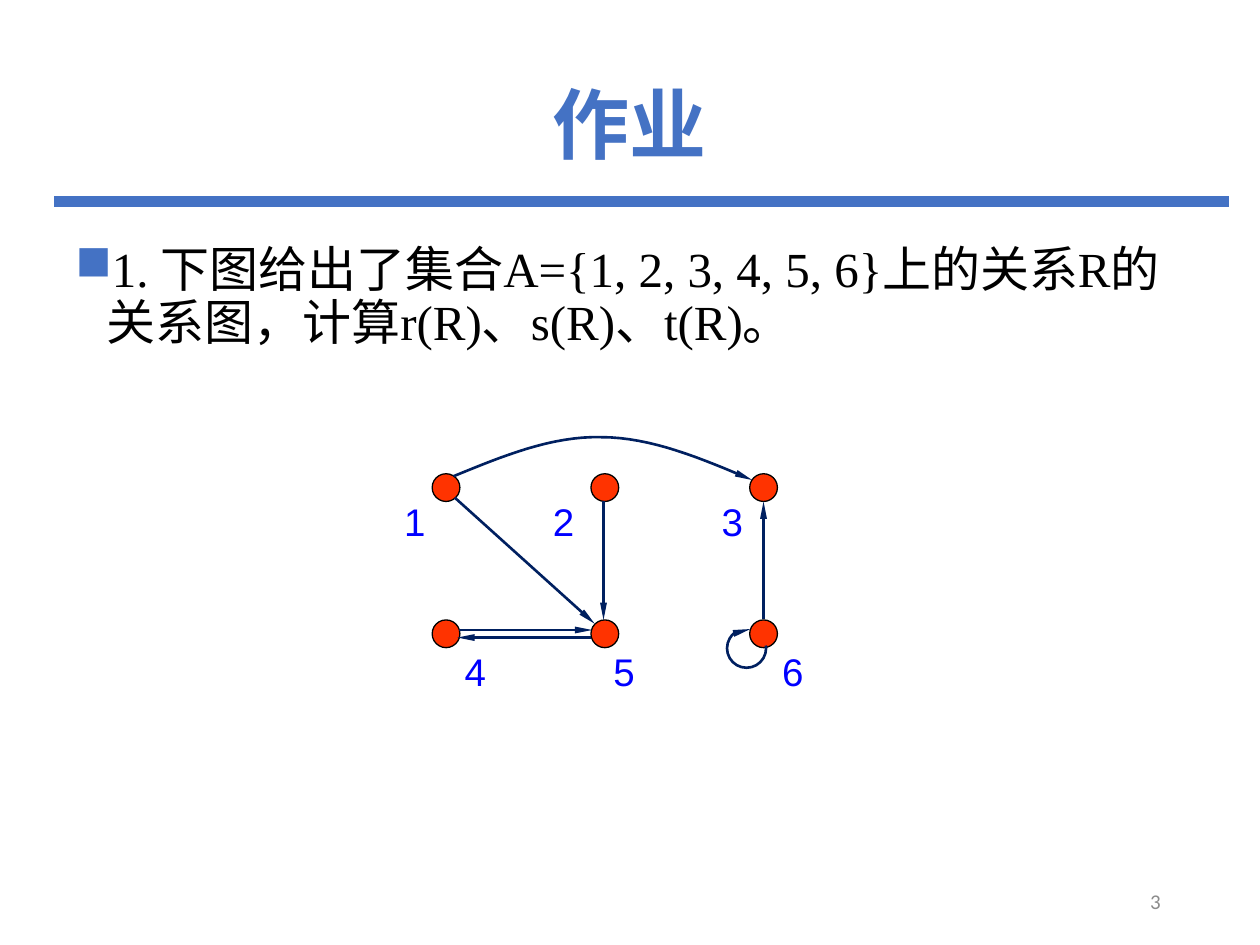
from lxml import etree
from pptx import Presentation
from pptx.dml.color import RGBColor
from pptx.enum.shapes import MSO_CONNECTOR, MSO_SHAPE
from pptx.enum.text import MSO_ANCHOR, PP_ALIGN
from pptx.oxml.ns import qn
from pptx.util import Inches, Pt

LEFT, CENTER, RIGHT = PP_ALIGN.LEFT, PP_ALIGN.CENTER, PP_ALIGN.RIGHT
TOP, MIDDLE = MSO_ANCHOR.TOP, MSO_ANCHOR.MIDDLE
STRAIGHT = MSO_CONNECTOR.STRAIGHT
NODE, ARC = MSO_SHAPE.FLOWCHART_CONNECTOR, MSO_SHAPE.ARC

COLORS = {"accent": "4472C4", "text": "000000", "number": "8C8C8C",
          "node": "FF3300", "label": "0000FF", "edge": "002060"}
CJK_FONT = "Noto Sans CJK SC"


class SlideBuilder:
    def __init__(self, slide):
        self.slide = slide

    def color(self, name):
        return RGBColor.from_string(COLORS[name])

    def text(self, box, text, size, font, color, align=LEFT, anchor=TOP,
             bold=False, spacing=1.0, bullet=None):
        shape = self.slide.shapes.add_textbox(*map(Inches, box))
        frame = shape.text_frame
        frame.word_wrap = True
        frame.vertical_anchor = anchor
        frame.text = text
        paragraph = frame.paragraphs[0]
        paragraph.alignment = align
        paragraph.line_spacing = spacing
        if bullet:
            self.bullet(paragraph, bullet)
        run_font = paragraph.runs[0].font
        run_font.name, run_font.size, run_font.bold = font, Pt(size), bold
        run_font.color.rgb = self.color(color)
        properties = paragraph.runs[0]._r.get_or_add_rPr()
        latin = properties.find(qn("a:latin"))
        east_asian = etree.Element(qn("a:ea"), typeface=CJK_FONT)
        latin.addnext(east_asian)

    def bullet(self, paragraph, character):
        properties = paragraph._p.get_or_add_pPr()
        properties.set("marL", str(Inches(0.25)))
        properties.set("indent", str(-Inches(0.25)))
        bullet_color = etree.SubElement(properties, qn("a:buClr"))
        etree.SubElement(bullet_color, qn("a:srgbClr"), val=COLORS["accent"])
        etree.SubElement(properties, qn("a:buChar"), char=character)

    def style_edge(self, shape, arrow=True, color="edge", width=1.5):
        shape.line.color.rgb = self.color(color)
        shape.line.width = Pt(width)
        if arrow:
            etree.SubElement(shape.line._get_or_add_ln(), qn("a:tailEnd"),
                             type="triangle", w="sm", len="lg")

    def line(self, start, end, **style):
        connector = self.slide.shapes.add_connector(
            STRAIGHT, *map(Inches, (*start, *end)))
        self.style_edge(connector, **style)
        etree.SubElement(connector._element.spPr, qn("a:effectLst"))

    def node(self, left, top, size=0.22):
        shape = self.slide.shapes.add_shape(
            NODE, *map(Inches, (left, top, size, size)))
        shape.shadow.inherit = False
        shape.fill.solid()
        shape.fill.fore_color.rgb = self.color("node")
        self.style_edge(shape, arrow=False, color="text", width=0.75)

    def curve(self, start, segments, steps=16):
        """Draw cubic segments, each given as two controls and an end."""
        points = [start]
        for control_1, control_2, end in segments:
            for step in range(1, steps + 1):
                t = step / steps
                weights = ((1 - t) ** 3, 3 * t * (1 - t) ** 2,
                           3 * t * t * (1 - t), t ** 3)
                corners = (start, control_1, control_2, end)
                points.append(tuple(
                    sum(w * corner[axis] for w, corner in zip(weights, corners))
                    for axis in (0, 1)))
            start = end
        points = [(Inches(x), Inches(y)) for x, y in points]
        builder = self.slide.shapes.build_freeform(*points[0])
        builder.add_line_segments(points[1:], close=False)
        shape = builder.convert_to_shape()
        shape.shadow.inherit = False
        shape.fill.background()
        self.style_edge(shape)

    def loop(self, box, start_degrees, end_degrees):
        shape = self.slide.shapes.add_shape(ARC, *map(Inches, box))
        shape.shadow.inherit = False
        shape.fill.background()
        # Angles are stored in 60000ths of a degree, adjustments in 100000ths
        shape.adjustments[0] = start_degrees * 0.6
        shape.adjustments[1] = end_degrees * 0.6
        self.style_edge(shape)


def main():
    presentation = Presentation()
    presentation.slide_width = Inches(10)
    presentation.slide_height = Inches(7.5)
    slide = presentation.slides.add_slide(presentation.slide_layouts[6])
    builder = SlideBuilder(slide)

    # Title, rule, exercise and page number
    builder.line((0.43, 1.6), (9.75, 1.6), arrow=False, color="accent", width=6)
    builder.text((0.69, 0.4, 8.62, 1.24), "作业", 44, CJK_FONT, "accent",
                 align=CENTER, anchor=MIDDLE, bold=True, spacing=0.9)
    builder.text((0.5, 1.9, 9, 1.37),
                 "1. 下图给出了集合A={1, 2, 3, 4, 5, 6}上的关系R的关系图，"
                 "计算r(R)、s(R)、t(R)。",
                 28, "Times New Roman", "text", spacing=0.9, bullet="■")
    builder.text((7.06, 6.95, 2.25, 0.4), "3", 12, "Calibri", "number",
                 align=RIGHT, anchor=MIDDLE)

    # Graph nodes on a grid of two rows and three columns, with labels
    label_lefts = (3.11, 4.29, 5.63, 3.59, 4.77, 6.11)
    for index, label_left in enumerate(label_lefts):
        row, column = divmod(index, 3)
        builder.node(3.43 + 1.26 * column, 3.76 + 1.16 * row)
        builder.text((label_left, 3.9 + 1.19 * row, 0.47, 0.47),
                     str(index + 1), 22, "Arial", "label")

    # Directed edges
    edges = (
        ((3.61, 3.95), (4.72, 4.95)),  # 1 to 5
        ((4.79, 3.98), (4.79, 4.92)),  # 2 to 5
        ((3.64, 5.0), (4.7, 5.0)),     # 4 to 5
        ((4.69, 5.06), (3.63, 5.06)),  # 5 to 4
        ((6.06, 4.91), (6.06, 3.98)),  # 6 to 3
    )
    for start, end in edges:
        builder.line(start, end)

    # Curved edge from 1 to 3 and the loop at 6
    builder.curve((3.6, 3.78), [
        ((3.99, 3.62), (4.38, 3.46), (4.77, 3.47)),
        ((5.17, 3.47), (5.57, 3.64), (5.97, 3.81)),
    ])
    builder.loop((5.77, 4.99, 0.31, 0.31), 352, 281)

    presentation.save("out.pptx")


if __name__ == "__main__":
    main()
